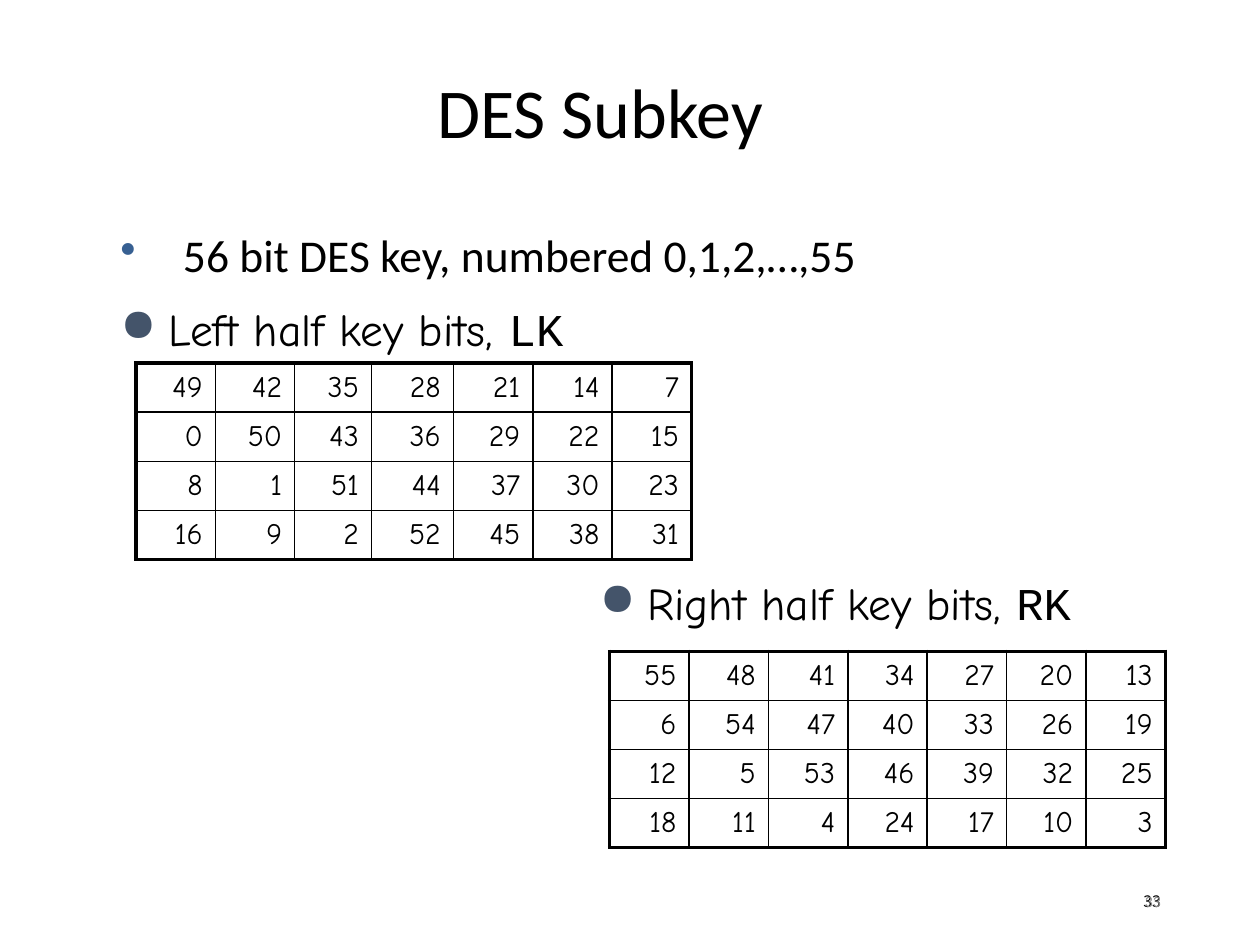
from dataclasses import dataclass

from lxml import etree
from pptx import Presentation
from pptx.dml.color import RGBColor
from pptx.enum.text import MSO_ANCHOR, PP_ALIGN
from pptx.oxml.ns import qn
from pptx.util import Cm, Pt

LEFT, CENTER, RIGHT = PP_ALIGN.LEFT, PP_ALIGN.CENTER, PP_ALIGN.RIGHT
TOP, MIDDLE = MSO_ANCHOR.TOP, MSO_ANCHOR.MIDDLE


@dataclass(frozen=True)
class Theme:
    ink: str = "000000"
    muted: str = "898989"
    blue: str = "376092"
    slate: str = "44546A"
    main_font: str = "Calibri"
    hand_font: str = "Comic Neue"
    code_font: str = "Courier New"
    number_font: str = "Noto Sans CJK KR"
    title_size: float = 40
    body_size: float = 26
    cell_size: float = 17
    number_size: float = 9
    outer_line: float = 2.25
    inner_line: float = 1


class SlideBuilder:
    def __init__(self, page, theme):
        self.page = page
        self.theme = theme

    def add_span(self, para, text, font, size, color=None):
        span = para.add_run()
        span.text = text
        span.font.name = font
        span.font.size = Pt(size)
        span.font.color.rgb = RGBColor.from_string(color or self.theme.ink)

    def text(self, place, spans, size, align=LEFT, anchor=TOP, spacing=1.0, bullet=None):
        """Spans are (text, font[, color]); bullet is (sign, color, indent in cm)."""
        box = self.page.shapes.add_textbox(*(Cm(length) for length in place))
        frame = box.text_frame
        frame.word_wrap = True
        frame.vertical_anchor = anchor
        para = frame.paragraphs[0]
        para.alignment = align
        para.line_spacing = spacing
        if bullet:
            self.set_bullet(para, *bullet)
        for text, font, *color in spans:
            self.add_span(para, text, font, size, *color)

    def set_bullet(self, para, sign, color, indent):
        properties = para._p.get_or_add_pPr()
        properties.set("marL", str(Cm(indent)))
        properties.set("indent", str(-Cm(indent)))
        bullet_color = etree.SubElement(properties, qn("a:buClr"))
        etree.SubElement(bullet_color, qn("a:srgbClr"), val=color)
        etree.SubElement(properties, qn("a:buChar"), char=sign)

    def key_heading(self, place, label, name):
        theme = self.theme
        self.text(place, [(label, theme.hand_font), (name, theme.code_font)],
                  theme.body_size, spacing=0.8, bullet=("●", theme.slate, 0.96))

    def key_table(self, left, top, widths, row_height, rows):
        height = row_height * len(rows)
        frame = self.page.shapes.add_table(
            len(rows), len(widths), Cm(left), Cm(top), Cm(sum(widths)), Cm(height))
        table = frame.table
        table.first_row = table.horz_banding = False
        for column, width in zip(table.columns, widths):
            column.width = Cm(width)
        last_row, last_column = len(rows) - 1, len(widths) - 1
        for i, values in enumerate(rows):
            table.rows[i].height = Cm(row_height)
            for j, value in enumerate(values):
                cell = table.cell(i, j)
                self.set_borders(cell, {"a:lnL": j == 0, "a:lnR": j == last_column,
                                        "a:lnT": i == 0, "a:lnB": i == last_row})
                cell.fill.background()
                cell.vertical_anchor = MIDDLE
                para = cell.text_frame.paragraphs[0]
                para.alignment = RIGHT
                self.add_span(para, str(value), self.theme.hand_font, self.theme.cell_size)

    def set_borders(self, cell, sides):
        """Sides maps each border tag to whether it lies on the table's edge."""
        properties = cell._tc.get_or_add_tcPr()
        for tag, is_outer in sides.items():
            width = self.theme.outer_line if is_outer else self.theme.inner_line
            line = etree.SubElement(properties, qn(tag), w=str(Pt(width)))
            fill = etree.SubElement(line, qn("a:solidFill"))
            etree.SubElement(fill, qn("a:srgbClr"), val=self.theme.ink)


LEFT_KEY = [
    [49, 42, 35, 28, 21, 14, 7],
    [0, 50, 43, 36, 29, 22, 15],
    [8, 1, 51, 44, 37, 30, 23],
    [16, 9, 2, 52, 45, 38, 31],
]
RIGHT_KEY = [
    [55, 48, 41, 34, 27, 20, 13],
    [6, 54, 47, 40, 33, 26, 19],
    [12, 5, 53, 46, 39, 32, 25],
    [18, 11, 4, 24, 17, 10, 3],
]


def main():
    deck = Presentation()
    deck.slide_width, deck.slide_height = Cm(25.4), Cm(19.05)
    theme = Theme()
    slide = SlideBuilder(deck.slides.add_slide(deck.slide_layouts[6]), theme)

    slide.text((2.18, 0.91, 19.84, 2.84), [("DES Subkey", theme.main_font)],
               theme.title_size, align=CENTER, anchor=MIDDLE, spacing=0.9)
    slide.text((2.18, 4.57, 20.52, 1.37),
               [("56 bit DES key, numbered 0,1,2,…,55", theme.main_font)],
               theme.body_size, spacing=0.9, bullet=("•", theme.blue, 1.26))

    slide.key_table(2.74, 7.32, [1.6, 1.6, 1.55, 1.65, 1.6, 1.6, 1.6], 0.99, LEFT_KEY)
    slide.key_table(12.29, 13.13, [1.6] * 7, 0.99, RIGHT_KEY)
    slide.key_heading((2.18, 6.15, 11.91, 0.97), "Left half key bits, ", "LK")
    slide.key_heading((11.84, 11.68, 12.6, 1.19), "Right half key bits, ", "RK")

    for font, color in [(theme.number_font, theme.ink), (theme.main_font, theme.muted)]:
        slide.text((17.93, 17.65, 5.72, 1.02), [("33", font, color)],
                   theme.number_size, align=RIGHT, anchor=MIDDLE)

    deck.save("out.pptx")


if __name__ == "__main__":
    main()
